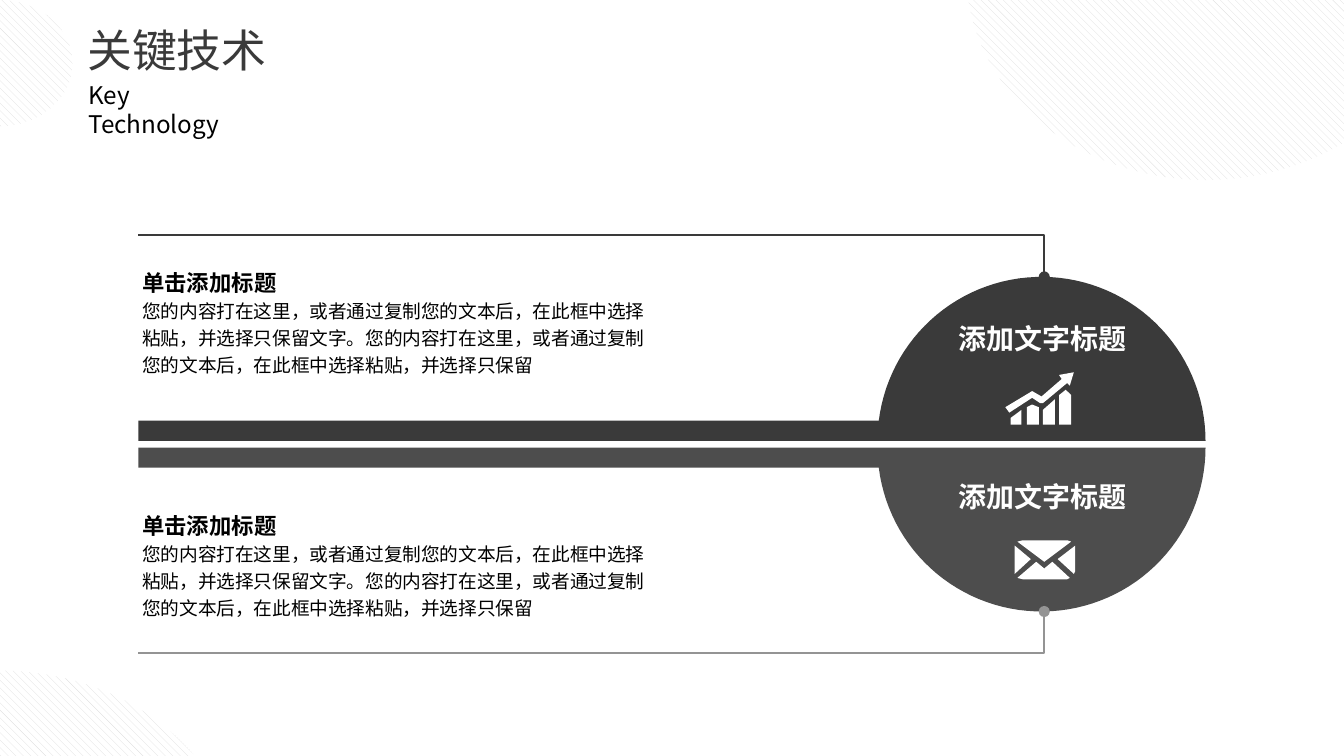
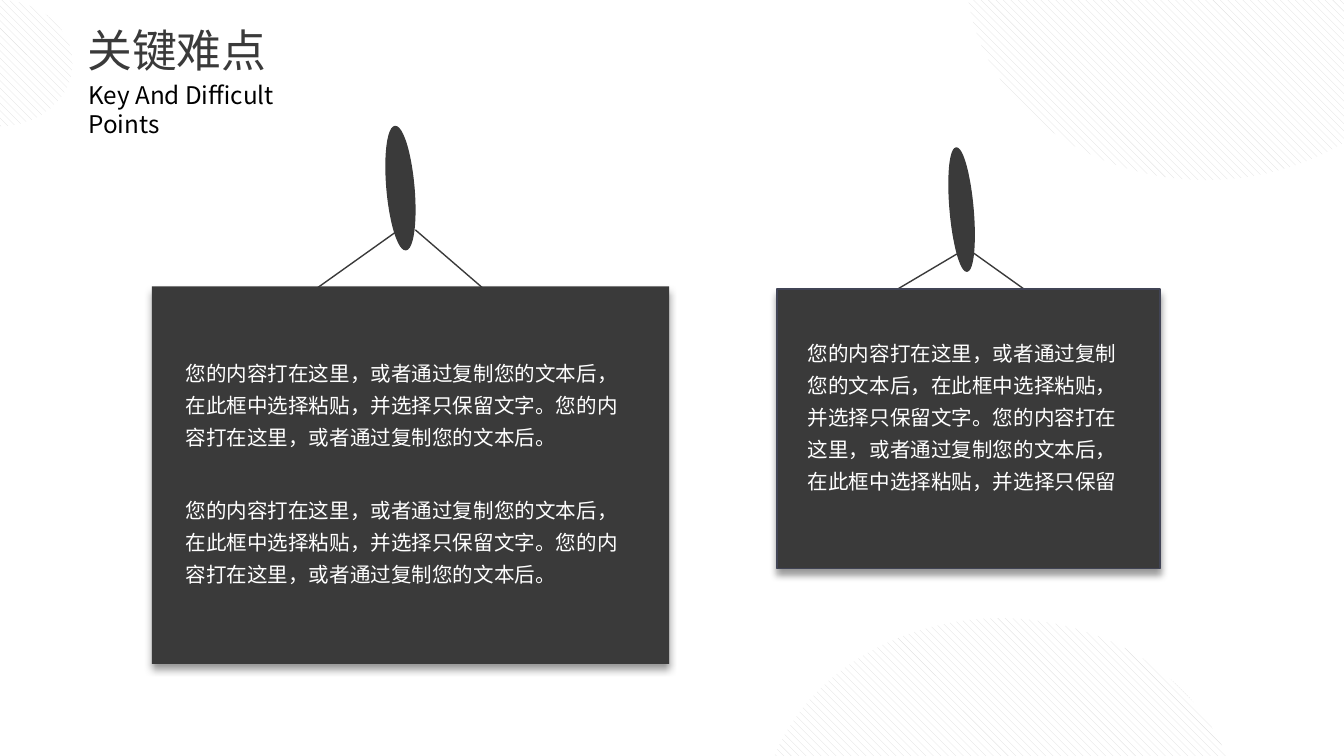
import math
from lxml import etree
from pptx import Presentation
from pptx.dml.color import RGBColor
from pptx.enum import dml, shapes, text
from pptx.oxml.ns import qn
from pptx.util import Inches, Pt

FONT = "Noto Sans CJK SC"
DARK = RGBColor(0x3A, 0x3A, 0x3A)
MID = RGBColor(0x4D, 0x4D, 0x4D)
GREY = RGBColor(0x94, 0x94, 0x94)
HATCH = RGBColor(0xDD, 0xDD, 0xDD)
EDGE = RGBColor(0x41, 0x44, 0x55)
BLACK = RGBColor(0, 0, 0)
WHITE = RGBColor(0xFF, 0xFF, 0xFF)

CLAUSE = "您的内容打在这里，或者通过复制您的文本后"
PASTE = "，在此框中选择粘贴，并选择只保留"
LONG = CLAUSE + PASTE + "文字。" + CLAUSE + PASTE
SHORT = CLAUSE + PASTE + "文字。" + CLAUSE + "。"


def write(sp, box, lines, color, spacing=None, insets=(0.1, 0.05), wrap=True):
    sp.left, sp.top, sp.width, sp.height = [Inches(v) for v in box]
    tf = sp.text_frame
    tf.word_wrap = wrap
    tf.auto_size = text.MSO_AUTO_SIZE.SHAPE_TO_FIT_TEXT
    tf.vertical_anchor = text.MSO_ANCHOR.TOP
    tf.margin_left = tf.margin_right = Inches(insets[0])
    tf.margin_top = tf.margin_bottom = Inches(insets[1])
    for i, (line, size, bold) in enumerate(lines):
        p = tf.add_paragraph() if i else tf.paragraphs[0]
        p.text = line
        p.alignment = text.PP_ALIGN.LEFT
        if spacing:
            p.line_spacing = spacing
        p.font.name = FONT
        p.font.size = Pt(size)
        p.font.bold = bold
        p.font.color.rgb = color
        etree.SubElement(p._p.pPr.find(qn("a:defRPr")), qn("a:ea"), typeface=FONT)


def outline(s, contours, color=None, close=True):
    contours = [[(Inches(x), Inches(y)) for x, y in c] for c in contours]
    fb = s.shapes.build_freeform(*contours[0][0], scale=1.0)
    for i, points in enumerate(contours):
        if i:
            fb.move_to(*points[0])
        fb.add_line_segments(points[1:], close=close)
    sp = fb.convert_to_shape()
    sp.shadow.inherit = False
    sp.line.fill.background()
    if color is None:
        sp.fill.background()
    else:
        sp.fill.solid()
        sp.fill.fore_color.rgb = color
    return sp


prs = Presentation()
prs.slide_width = Inches(10)
prs.slide_height = prs.slide_width * 9 // 16

slides = []
for title, subtitle, width, corner in [
    ("关键技术", "Key Technology", 1.4, (-1.78, 4.99)),
    ("关键难点", "Key And Difficult Points", 2.04, (5.66, 4.6)),
]:
    s = prs.slides.add_slide(prs.slide_layouts[5])
    slides.append(s)
    for x, y, w, h in [(7.19, -1.74, 3.57, 3.08), (-0.55, 0, 1.09, 0.94), (*corner, 3.57, 3.08)]:
        sp = s.shapes.add_shape(shapes.MSO_SHAPE.OVAL, Inches(x), Inches(y), Inches(w), Inches(h))
        sp.shadow.inherit = False
        sp.line.fill.background()
        sp.fill.patterned()
        sp.fill.pattern = dml.MSO_PATTERN.WIDE_DOWNWARD_DIAGONAL
        sp.fill.fore_color.rgb = HATCH
        sp.fill.back_color.rgb = WHITE
    write(s.shapes.title, (0.55, 0.12, 2.33, 0.51), [(title, 24, False)], DARK)
    write(s.shapes.add_textbox(0, 0, 0, 0), (0.56, 0.55, width, 0.32), [(subtitle, 13, False)], BLACK)

s = slides[0]
CX, R, BAR_LEFT, BAR = 7.75, 1.22, 1.03, 0.15
sweep = math.pi - math.asin(BAR / R)
for base, up, fill, line, label_y, body_y in [
    (3.28, -1, DARK, DARK, 2.39, 1.91),
    (3.33, 1, MID, GREY, 3.57, 3.72),
]:
    arc = [(CX + R * math.cos(sweep * i / 60), base + up * R * math.sin(sweep * i / 60)) for i in range(61)]
    outline(s, [arc + [(BAR_LEFT, base + up * BAR), (BAR_LEFT, base)]], fill)

    rim, rail = base + up * R, base + up * (R + 0.31)
    sp = outline(s, [[(BAR_LEFT, rail), (7.77, rail), (7.77, rim)]], close=False)
    sp.line.color.rgb = line
    sp.line.width = Pt(1)
    etree.SubElement(sp._element.spPr.find(qn("a:ln")), qn("a:tailEnd"), type="oval")

    write(s.shapes.add_textbox(0, 0, 0, 0), (7.13, label_y, 1.26, 0.25),
          [("添加文字标题", 15, True)], WHITE, insets=(0, 0), wrap=False)
    write(s.shapes.add_textbox(0, 0, 0, 0), (0.96, body_y, 4.01, 0.95),
          [("单击添加标题", 12, True), (LONG, 10, False)], BLACK, 1.2)

growth = [
    [(7.48, 3.03), (7.68, 2.91), (7.75, 2.95), (7.9, 2.82), (7.88, 2.79), (7.99, 2.77), (7.96, 2.87),
     (7.94, 2.85), (7.76, 3), (7.74, 3), (7.68, 2.96), (7.51, 3.07)],
    [(7.52, 3.16), (7.52, 3.11), (7.6, 3.05), (7.6, 3.16)],
    [(7.64, 3.16), (7.64, 3.03), (7.68, 3.01), (7.73, 3.03), (7.73, 3.16)],
    [(7.76, 3.16), (7.76, 3.05), (7.85, 2.97), (7.85, 3.16)],
    [(7.88, 3.16), (7.88, 2.94), (7.93, 2.9), (7.97, 2.94), (7.97, 3.16)],
]
envelope = [
    [(7.57, 4.03), (7.61, 4.02), (7.94, 4.02), (7.97, 4.03), (7.77, 4.18)],
    [(8, 4.06), (7.87, 4.16), (7.99, 4.27), (8, 4.25)],
    [(7.57, 4.3), (7.71, 4.18), (7.77, 4.23), (7.83, 4.18), (7.96, 4.3), (7.94, 4.31), (7.61, 4.31)],
    [(7.55, 4.06), (7.67, 4.16), (7.55, 4.27)],
]
for icon in (growth, envelope):
    outline(s, icon, WHITE)

s = slides[1]
for strings, peg, board, edge, notes in [
    ([(2.35, 2.15, 2.94, 1.73), (3.09, 1.71, 3.6, 2.15)], (2.88, 0.94, 0.2, 0.92), (1.13, 2.13, 3.85, 2.81),
     None, [(SHORT, (1.31, 2.59, 3.41, 0.77)), (SHORT, (1.31, 3.61, 3.41, 0.77))]),
    ([(6.63, 2.18, 7.12, 1.89), (7.24, 1.88, 7.66, 2.18)], (7.07, 1.1, 0.17, 0.92), (5.78, 2.15, 2.85, 2.08),
     EDGE, [(LONG, (5.94, 2.44, 2.52, 1.26))]),
]:
    for ends in strings:
        c = s.shapes.add_connector(shapes.MSO_CONNECTOR.STRAIGHT, *[Inches(v) for v in ends])
        c.line.color.rgb = DARK
        c.line.width = Pt(0.75)
        etree.SubElement(c._element.spPr, qn("a:effectLst"))

    for kind, box, color, weight, angle in [
        (shapes.MSO_SHAPE.OVAL, peg, DARK, 0.75, 355),
        (shapes.MSO_SHAPE.RECTANGLE, board, edge, 1, 0),
    ]:
        sp = s.shapes.add_shape(kind, *[Inches(v) for v in box])
        sp.shadow.inherit = False
        sp.rotation = angle
        sp.fill.solid()
        sp.fill.fore_color.rgb = DARK
        if color is None:
            sp.line.fill.background()
        else:
            sp.line.color.rgb = color
            sp.line.width = Pt(weight)

    shadow = etree.SubElement(sp._element.spPr.find(qn("a:effectLst")), qn("a:outerShdw"),
                              blurRad=str(Pt(4)), dist=str(Pt(3)), dir="5400000", algn="t", rotWithShape="0")
    tint = etree.SubElement(shadow, qn("a:srgbClr"), val="000000")
    etree.SubElement(tint, qn("a:alpha"), val="40000")

    for note, box in notes:
        write(s.shapes.add_textbox(0, 0, 0, 0), box, [(note, 11, False)], WHITE, 1.3, (0.07, 0.04))

prs.save("out.pptx")
